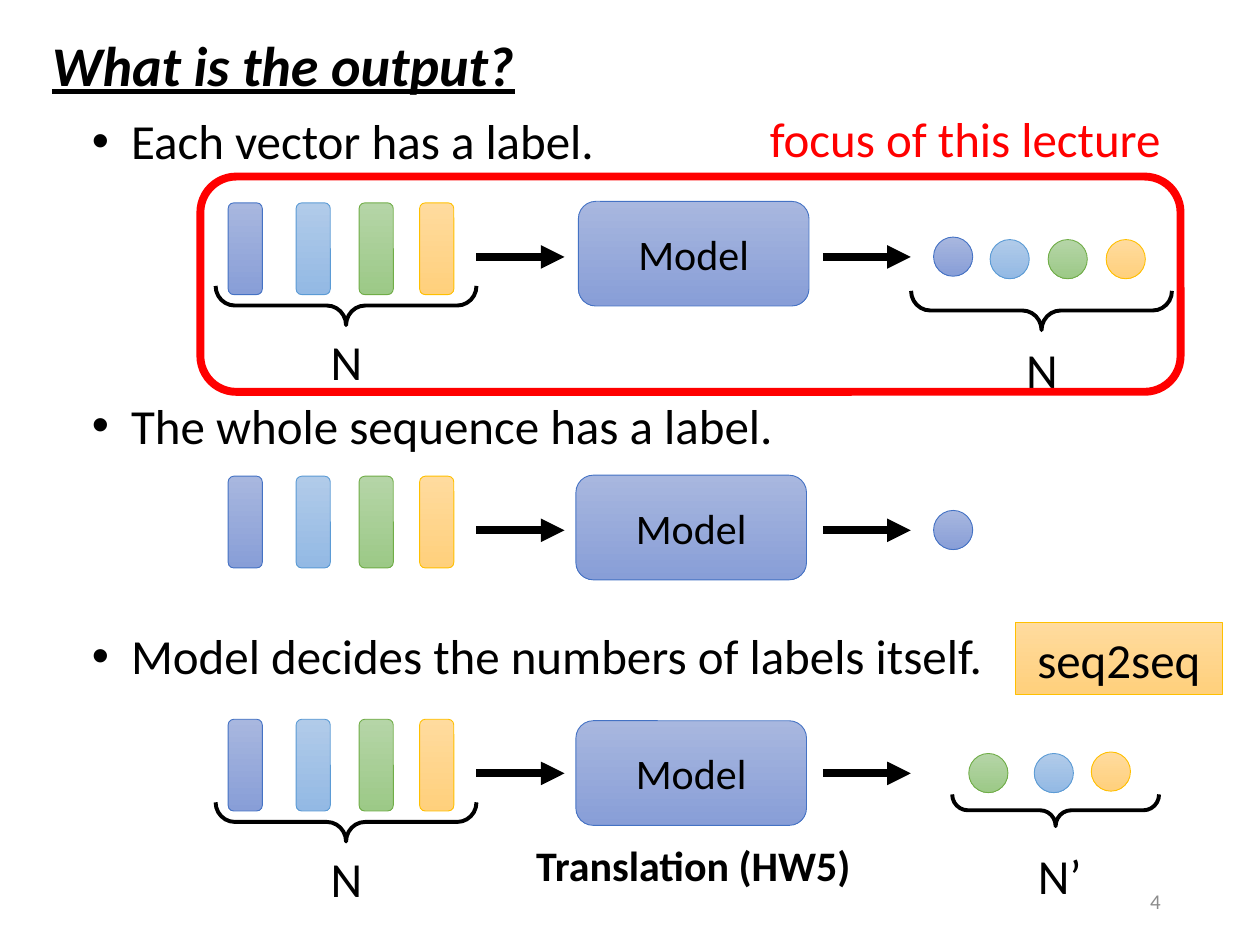
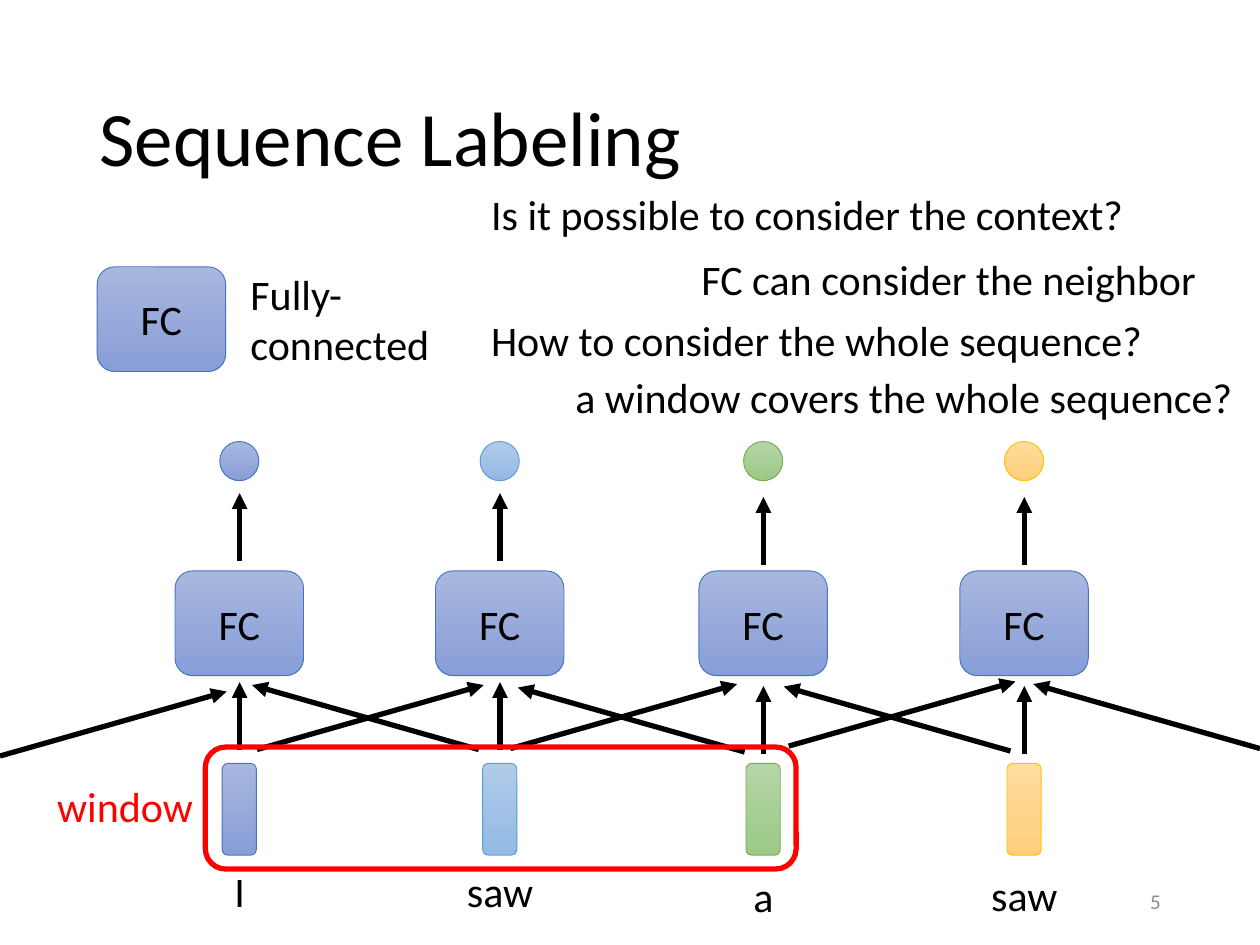
from pptx import Presentation
from pptx.dml.color import RGBColor
from pptx.enum.shapes import MSO_CONNECTOR, MSO_SHAPE as SHAPE
from pptx.enum.text import MSO_ANCHOR as ANCHOR, MSO_AUTO_SIZE, PP_ALIGN as ALIGN
from pptx.oxml.ns import qn
from pptx.util import Cm, Pt
from lxml import etree

BLACK = RGBColor(0x00, 0x00, 0x00)
RED = RGBColor(0xFF, 0x00, 0x00)
GREY = RGBColor(0x8C, 0x8C, 0x8C)
# Each palette: gradient top, gradient bottom, outline
INDIGO = RGBColor(0xA8, 0xB7, 0xDF), RGBColor(0x88, 0x9E, 0xD7), RGBColor(0x44, 0x72, 0xC4)
BLUE = RGBColor(0xB1, 0xCB, 0xE9), RGBColor(0x93, 0xB9, 0xE4), RGBColor(0x5B, 0x9B, 0xD5)
GREEN = RGBColor(0xB5, 0xD5, 0xA7), RGBColor(0x9C, 0xC9, 0x87), RGBColor(0x70, 0xAD, 0x47)
YELLOW = RGBColor(0xFF, 0xDB, 0x9E), RGBColor(0xFF, 0xD0, 0x7C), RGBColor(0xFF, 0xC0, 0x00)
PALETTES = [INDIGO, BLUE, GREEN, YELLOW]

FONT = "Calibri"
VECTOR = (0.69, 1.85)
LABEL = (0.79, 0.79)
MODEL = (4.65, 2.11)
FC = (2.59, 2.11)
COUNT = (2.39, 1.45)
NUMBER_AT = (17.93, 17.65, 5.72, 1.02)
TITLE_FORMAT = {"name": FONT, "size": Pt(32), "bold": True, "italic": True, "underline": True}


def add_item(s, at, text="", kind=None, palette=None, outline=(BLACK, 2.25), size=24,
             color=BLACK, align=ALIGN.CENTER, anchor=ANCHOR.MIDDLE, bold=False):
    """Add a preset shape, or a text box when no kind is given; at is in centimetres."""
    box = [Cm(v) for v in at]
    if kind is None:
        sp = s.shapes.add_textbox(*box)
    else:
        sp = s.shapes.add_shape(kind, *box)
        sp.shadow.inherit = False
        if palette:
            sp.fill.gradient()
            sp.fill.gradient_angle = 270
            for stop, rgb in zip(sp.fill.gradient_stops, palette):
                stop.color.rgb = rgb
            outline = palette[2], 0.5
        else:
            sp.fill.background()
        sp.line.color.rgb, sp.line.width = outline[0], Pt(outline[1])
    if text:
        tf = sp.text_frame
        tf.word_wrap = True
        tf.vertical_anchor = anchor
        p = tf.paragraphs[0]
        p.alignment = align
        r = p.add_run()
        r.text = text
        for name, value in {"name": FONT, "size": Pt(size), "bold": bold}.items():
            setattr(r.font, name, value)
        r.font.color.rgb = color
    return sp


def add_arrow(s, x1, y1, x2, y2, width):
    c = s.shapes.add_connector(MSO_CONNECTOR.STRAIGHT, Cm(x1), Cm(y1), Cm(x2), Cm(y2))
    c.line.color.rgb, c.line.width = BLACK, Pt(width)
    etree.SubElement(c.line._get_or_add_ln(), qn("a:tailEnd"), type="triangle")
    etree.SubElement(c._element.spPr, qn("a:effectLst"))


prs = Presentation()
prs.slide_width, prs.slide_height = Cm(25.4), Cm(19.05)

# Slide 1: three kinds of output
s = prs.slides.add_slide(prs.slide_layouts[1])
title, body = s.shapes.title, s.placeholders[1]
for sp, at in [(title, (0.79, 0.48, 12.7, 1.63)), (body, (1.6, 2.11, 23.44, 11.89))]:
    sp.left, sp.top, sp.width, sp.height = [Cm(v) for v in at]
    sp.text_frame.auto_size = MSO_AUTO_SIZE.NONE
    sp.text_frame.vertical_anchor = ANCHOR.TOP

p = title.text_frame.paragraphs[0]
p.alignment = ALIGN.LEFT
r = p.add_run()
r.text = "What is the output?"
for name, value in TITLE_FORMAT.items():
    setattr(r.font, name, value)
r.font.color.rgb = BLACK

bullets = [("Each vector has a label.", 0),
           ("The whole sequence has a label.", 129),
           ("Model decides the numbers of labels itself.", 98)]
tf = body.text_frame
for i, (text, gap) in enumerate(bullets):
    p = tf.add_paragraph() if i else tf.paragraphs[0]
    p.space_before = Pt(gap)
    pPr = p._p.get_or_add_pPr()
    pPr.set("marL", str(Cm(0.79)))
    pPr.set("indent", str(-Cm(0.79)))
    r = p.add_run()
    r.text = text
    r.font.name, r.font.size = FONT, Pt(28)
    r.font.color.rgb = BLACK

# Vector top, model corner, output labels of each row
rows = [
    (4.09, (11.66, 4.06), [(18.82, 4.78, INDIGO), (19.96, 4.83, BLUE),
                           (21.13, 4.83, GREEN), (22.3, 4.83, YELLOW)]),
    (9.6, (11.61, 9.58), [(18.82, 10.29, INDIGO)]),
    (14.5, (11.61, 14.53), [(19.53, 15.19, GREEN), (20.85, 15.19, BLUE), (22, 15.16, YELLOW)]),
]
for top, model, labels in rows:
    for x, palette in zip([4.6, 5.97, 7.24, 8.46], PALETTES):
        add_item(s, (x, top, *VECTOR), kind=SHAPE.ROUNDED_RECTANGLE, palette=palette)
    for x1, x2 in [(9.6, 11.38), (16.59, 18.36)]:
        add_arrow(s, x1, top + 1.09, x2, top + 1.09, 4.5)
    add_item(s, (*model, *MODEL), "Model", SHAPE.ROUNDED_RECTANGLE, INDIGO)
    for x, y, palette in labels:
        add_item(s, (x, y, *LABEL), kind=SHAPE.OVAL, palette=palette)

counts = [((6.58, 3.53, 0.79, 5.26), (5.79, 6.55), "N"),
          ((20.6, 3.63, 0.79, 5.26), (19.81, 6.71), "N"),
          ((6.58, 13.94, 0.79, 5.26), (5.79, 16.99), "N"),
          ((20.96, 14.25, 0.64, 4.17), (20.17, 16.92), "N’")]
for brace_at, count_at, text in counts:
    brace = add_item(s, brace_at, kind=SHAPE.RIGHT_BRACE)
    brace.rotation = 90
    brace.adjustments[0] = 0.49
    add_item(s, (*count_at, *COUNT), text, size=28, anchor=ANCHOR.TOP)

add_item(s, (9.93, 16.79, 8.1, 1.27), "Translation (HW5)", bold=True)
add_item(s, (20.47, 12.55, 4.17, 1.45), "seq2seq", SHAPE.RECTANGLE, YELLOW, size=28)
add_item(s, (4.04, 3.56, 19.76, 4.34), kind=SHAPE.ROUNDED_RECTANGLE, outline=(RED, 4.5))
add_item(s, (15.27, 2.06, 8.99, 1.45), "focus of this lecture", size=28, color=RED,
         align=ALIGN.LEFT)
add_item(s, NUMBER_AT, "4", size=12, color=GREY, align=ALIGN.RIGHT)

# Slide 2: sequence labeling with a window
s = prs.slides.add_slide(prs.slide_layouts[5])
title = s.shapes.title
title.left, title.top, title.width, title.height = Cm(1.75), Cm(1.02), Cm(21.89), Cm(3.68)
title.text_frame.vertical_anchor = ANCHOR.MIDDLE
p = title.text_frame.paragraphs[0]
p.alignment, p.line_spacing = ALIGN.LEFT, 0.9
r = p.add_run()
r.text = "Sequence Labeling"
r.font.name, r.font.size = FONT, Pt(44)
r.font.color.rgb = BLACK

# Column centre, drop of the arrows, word and its top
columns = [(4.83, 0, "I", 17.32), (10.08, 0, "saw", 17.32),
           (15.39, 0.08, "a", 17.42), (20.65, 0.08, "saw", 17.4)]
for (cx, drop, word, word_top), palette in zip(columns, PALETTES):
    add_item(s, (cx - 0.35, 15.39, *VECTOR), kind=SHAPE.ROUNDED_RECTANGLE, palette=palette)
    add_item(s, (cx - 1.3, 11.51, *FC), "FC", SHAPE.ROUNDED_RECTANGLE, INDIGO)
    add_item(s, (cx - 0.4, 8.9, *LABEL), kind=SHAPE.OVAL, palette=palette)
    for y in (15.11, 11.3):
        add_arrow(s, cx, y + drop, cx, y + drop - 1.36, 3)
    add_item(s, (cx - 1, word_top, 2, 1.27), word)

to_right = [(0, 15.24), (5.18, 15.11), (10.29, 15.09), (15.9, 15.04)]
to_left = [(9.65, 15.11), (15.01, 15.16), (20.37, 15.14), (25.4, 15.09)]
for starts, dx in [(to_right, 4.57), (to_left, -4.57)]:
    for x, y in starts:
        add_arrow(s, x, y, x + dx, y - 1.3, 3)

add_item(s, (1.96, 5.38, *FC), "FC", SHAPE.ROUNDED_RECTANGLE, INDIGO)
notes = [("Fully-connected", (4.8, 5.28, 4.57, 2.31)),
         ("Is it possible to consider the context?", (9.65, 3.68, 14.55, 1.27)),
         ("FC can consider the neighbor", (13.89, 4.98, 10.92, 1.27)),
         ("How to consider the whole sequence?", (9.65, 6.22, 15.34, 1.27)),
         ("a window covers the whole sequence?", (11.35, 7.37, 14, 1.27))]
for text, at in notes:
    add_item(s, at, text, align=ALIGN.LEFT, anchor=ANCHOR.TOP)

add_item(s, (4.14, 15.06, 11.91, 2.46), kind=SHAPE.ROUNDED_RECTANGLE, outline=(RED, 3))
add_item(s, (0.41, 15.6, 3.73, 1.27), "window", color=RED, align=ALIGN.RIGHT)
add_item(s, NUMBER_AT, "5", size=12, color=GREY, align=ALIGN.RIGHT)

prs.save("out.pptx")
